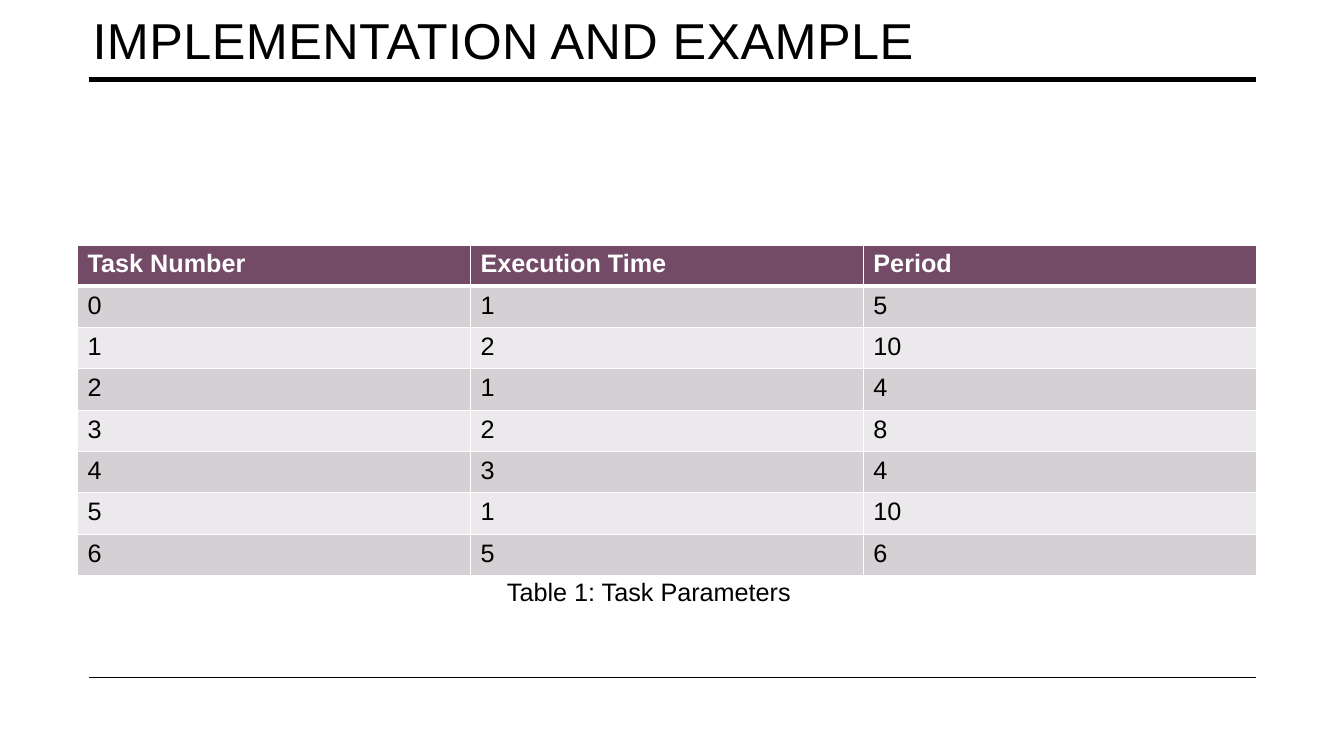
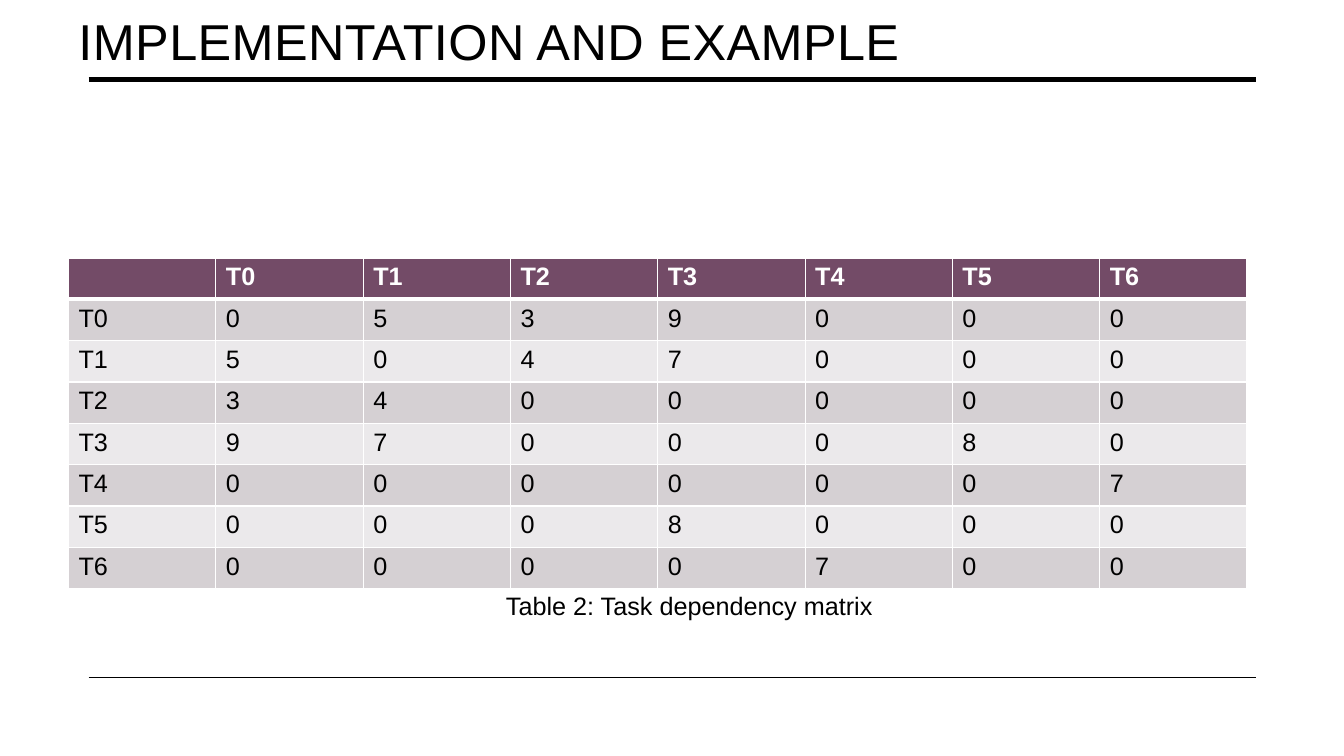
from dataclasses import dataclass

from lxml.etree import SubElement
from pptx import Presentation
from pptx.dml.color import RGBColor
from pptx.enum.shapes import MSO_CONNECTOR
from pptx.oxml import parse_xml
from pptx.oxml.ns import nsdecls, qn
from pptx.util import Inches, Pt


@dataclass(frozen=True)
class Theme:
    font: str = "Arial"
    ink: str = "000000"
    paper: str = "FFFFFF"
    head: str = "734B67"
    bands: tuple = ("D5D0D3", "EBE9EB")
    title: int = 36
    body: int = 18


class Deck:
    def __init__(self, theme):
        self.theme = theme
        self.file = Presentation()
        size = {"slide_width": Inches(13.33), "slide_height": Inches(7.5)}
        for name, value in size.items():
            setattr(self.file, name, value)
        self.slide = None

    def page(self, title, left, top):
        self.slide = self.file.slides.add_slide(self.file.slide_layouts[6])
        self.rule(0.79, 3.5)
        self.rule(6.72, 1)
        run = self.label(title, left, top, 11.69, 0.68, self.theme.title, True)
        run.font._element.set("spc", "30")

    def rule(self, y, weight):
        line = self.slide.shapes.add_connector(
            MSO_CONNECTOR.STRAIGHT, Inches(0.88), Inches(y), Inches(12.46), Inches(y)
        )
        line.line.color.rgb = RGBColor.from_string(self.theme.ink)
        line.line.width = Pt(weight)
        SubElement(line._element.spPr, qn("a:effectLst"))

    def text(self, frame, text, size, color, bold=False):
        run = frame.paragraphs[0].add_run()
        run.text = text
        style = {"name": self.theme.font, "size": Pt(size), "bold": bold}
        for name, value in style.items():
            setattr(run.font, name, value)
        run.font.color.rgb = RGBColor.from_string(color)
        return run

    def label(self, text, left, top, width, height, size, wrap=False):
        box = self.slide.shapes.add_textbox(
            Inches(left), Inches(top), Inches(width), Inches(height)
        )
        box.text_frame.word_wrap = wrap
        return self.text(box.text_frame, text, size, self.theme.ink)

    def table(self, rows, left, top):
        wide, high = 11.69, 0.41
        count = len(rows[0])
        grid = self.slide.shapes.add_table(
            len(rows), count, Inches(left), Inches(top),
            Inches(wide), Inches(high * len(rows)),
        ).table
        for col in grid.columns:
            col.width = Inches(wide / count)
        for y, row in enumerate(rows):
            grid.rows[y].height = Inches(high)
            for x, text in enumerate(row):
                self.cell(grid.cell(y, x), text, y)

    def cell(self, cell, text, row):
        theme = self.theme
        head = row == 0
        fill = theme.head if head else theme.bands[(row - 1) % 2]
        cell.fill.solid()
        cell.fill.fore_color.rgb = RGBColor.from_string(fill)
        if text:
            color = theme.paper if head else theme.ink
            self.text(cell.text_frame, text, theme.body, color, head)
        edges = {"L": 1, "R": 1, "T": 3 if row == 1 else 1, "B": 3 if head else 1}
        props = cell._tc.get_or_add_tcPr()
        for spot, (side, weight) in enumerate(edges.items()):
            props.insert(spot, parse_xml(
                f'<a:ln{side} {nsdecls("a")} w="{Pt(weight)}"><a:solidFill>'
                f'<a:srgbClr val="{theme.paper}"/></a:solidFill></a:ln{side}>'
            ))


def main():
    deck = Deck(Theme())
    title = "IMPLEMENTATION AND EXAMPLE"

    tasks = [(1, 5), (2, 10), (1, 4), (2, 8), (3, 4), (1, 10), (5, 6)]
    rows = [["Task Number", "Execution Time", "Period"]]
    rows += [[str(n), str(time), str(span)] for n, (time, span) in enumerate(tasks)]
    deck.page(title, 0.82, 0.04)
    deck.table(rows, 0.77, 2.43)
    deck.label("Table 1: Task Parameters", 4.93, 5.67, 3.04, 0.4, deck.theme.body)

    links = ["0539000", "5047000", "3400000", "9700080",
             "0000007", "0008000", "0000700"]
    names = [f"T{n}" for n in range(len(links))]
    rows = [["", *names]] + [[name, *link] for name, link in zip(names, links)]
    deck.page(title, 0.68, 0.05)
    deck.table(rows, 0.68, 2.56)
    deck.label("Table 2: Task dependency matrix", 4.92, 5.81, 3.87, 0.4, deck.theme.body)

    deck.file.save("out.pptx")


if __name__ == "__main__":
    main()
